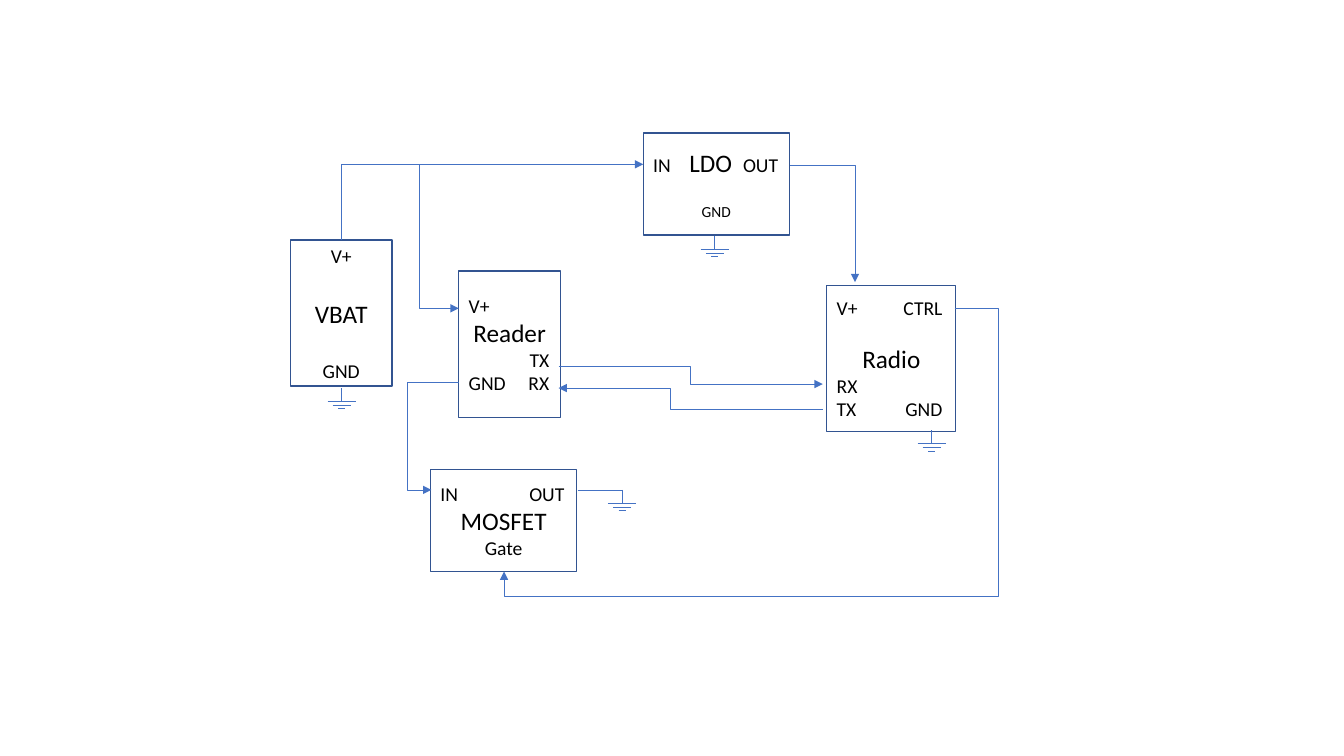
import pptx
import pptx.dml.color
import pptx.enum.shapes
import pptx.enum.text
import pptx.oxml.ns
import pptx.util
import lxml.etree

CELL = pptx.util.Inches(0.1)  # the slide is a grid of 133.33 by 75 cells
COLORS = {"box": "FFFFFF", "outline": "325491", "wire": "4472C4", "text": "000000"}
COLORS = {name: pptx.dml.color.RGBColor.from_string(value) for name, value in COLORS.items()}
LINE_HEIGHT = 1.22
PIN, NAME, SMALL = 14, 18, 11
LEFT = pptx.enum.text.PP_ALIGN.LEFT
CENTER = pptx.enum.text.PP_ALIGN.CENTER
qn = pptx.oxml.ns.qn

presentation = pptx.Presentation()
presentation.slide_width = pptx.util.Inches(13.33)
presentation.slide_height = pptx.util.Inches(7.5)
slide = presentation.slides.add_slide(presentation.slide_layouts[6])


def add_wire(route, arrow=None):
    """Join the first and last point; the points between are right-angle bends,
    the first leg being horizontal. arrow is headEnd (first) or tailEnd (last)."""
    (x1, y1), (x2, y2) = route[0], route[-1]
    ends = [round(value * CELL) for value in (x1, y1, x2, y2)]
    kind = pptx.enum.shapes.MSO_CONNECTOR.STRAIGHT
    if len(route) > 2:
        kind = pptx.enum.shapes.MSO_CONNECTOR.ELBOW
    connector = slide.shapes.add_connector(kind, *ends)
    connector.line.color.rgb = COLORS["wire"]
    connector.line.width = pptx.util.Pt(0.5)
    properties = connector._element.spPr
    if len(route) > 2:
        geometry = properties.find(qn("a:prstGeom"))
        geometry.set("prst", f"bentConnector{len(route) - 1}")
        shares = []
        if len(route) > 3:
            shares.append((route[1][0] - x1) / (x2 - x1))
        if len(route) > 4:
            shares.append((route[2][1] - y1) / (y2 - y1))
        adjustments = geometry.find(qn("a:avLst"))
        for number, share in enumerate(shares, 1):
            lxml.etree.SubElement(adjustments, qn("a:gd"), name=f"adj{number}",
                                  fmla=f"val {round(share * 100000)}")
    if arrow:
        lxml.etree.SubElement(properties.find(qn("a:ln")), qn(f"a:{arrow}"), type="triangle")
    lxml.etree.SubElement(properties, qn("a:effectLst"))


# Each block: left, top, width, height, tab stops, text lines.
# Each line: blank size above it, alignment, runs of (text, size).
blocks = [
    (28.8, 23.8, 10.1, 14.5, [], [
        (0, CENTER, [("V+", PIN)]),
        (NAME, CENTER, [("VBAT", NAME)]),
        (NAME, CENTER, [("GND", PIN)])]),
    (82, 28.3, 12.8, 14.5, [("r", 10.5)], [
        (0, LEFT, [("V+\tCTRL", PIN)]),
        (PIN, CENTER, [("Radio", NAME)]),
        (0, LEFT, [("RX", PIN)]),
        (0, LEFT, [("TX\tGND", PIN)])]),
    (45.5, 26.9, 10.1, 14.5, [("r", 8)], [
        (0, LEFT, [("V+", PIN)]),
        (0, CENTER, [("Reader", NAME)]),
        (0, LEFT, [("\tTX", PIN)]),
        (0, LEFT, [("GND\tRX", PIN)])]),
    (63.8, 13.2, 14.5, 10.1, [("ctr", 5.7), ("r", 12.4)], [
        (0, LEFT, [("IN\t", PIN), ("LDO", NAME), ("\tOUT", PIN)]),
        (PIN, CENTER, [("GND", SMALL)])]),
    (42.7, 46.6, 14.5, 10.1, [("r", 12.3)], [
        (0, LEFT, [("IN\tOUT", PIN)]),
        (0, CENTER, [("MOSFET", NAME)]),
        (0, CENTER, [("Gate", PIN)])]),
]
for left, top, width, height, tab_stops, lines in blocks:
    place = [round(value * CELL) for value in (left, top, width, height)]
    box = slide.shapes.add_shape(pptx.enum.shapes.MSO_SHAPE.RECTANGLE, *place)
    box.shadow.inherit = False
    box.fill.solid()
    box.fill.fore_color.rgb = COLORS["box"]
    box.line.color.rgb = COLORS["outline"]
    box.line.width = pptx.util.Pt(1)
    frame = box.text_frame
    frame.word_wrap = True
    frame.vertical_anchor = pptx.enum.text.MSO_ANCHOR.MIDDLE
    for index, (blank, alignment, runs) in enumerate(lines):
        paragraph = frame.add_paragraph() if index else frame.paragraphs[0]
        paragraph.alignment = alignment
        paragraph.space_before = pptx.util.Pt(round(blank * LINE_HEIGHT))
        if tab_stops and alignment == LEFT:
            tab_list = lxml.etree.SubElement(paragraph._p.get_or_add_pPr(), qn("a:tabLst"))
            for side, position in tab_stops:
                lxml.etree.SubElement(tab_list, qn("a:tab"),
                                      pos=str(round(position * CELL)), algn=side)
        for text, size in runs:
            run = paragraph.add_run()
            run.text = text
            run.font.name = "Calibri"
            run.font.size = pptx.util.Pt(size)
            run.font.color.rgb = COLORS["text"]

wires = [
    ([(63.8, 16.3), (33.9, 16.3), (33.9, 23.8)], "headEnd"),  # VBAT to LDO
    ([(45.5, 30.6), (41.6, 30.6), (41.6, 16.3)], "headEnd"),  # VBAT to Reader
    ([(55.4, 36.3), (68.5, 36.3), (68.5, 38.1), (81.6, 38.1)], "tailEnd"),  # TX to RX
    ([(81.6, 40.6), (66.5, 40.6), (66.5, 38.5), (55.4, 38.5)], "tailEnd"),  # RX from TX
    ([(78.4, 16.4), (84.8, 16.4), (84.8, 28)], "tailEnd"),  # LDO to Radio
    ([(45.5, 37.9), (40.4, 37.9), (40.4, 48.6), (42.8, 48.6)], "tailEnd"),  # Reader to MOSFET
    ([(57.3, 48.6), (61.7, 48.6)], None),  # MOSFET to ground
    ([(94.7, 30.6), (99, 30.6), (99, 59.2), (50, 59.2), (50, 56.7)], "tailEnd"),  # CTRL to Gate
]
for route, arrow in wires:
    add_wire(route, arrow)

ground_bars = [(1.3, 2.8), (1.7, 1.8), (2.05, 0.7)]  # depth below the pin, width
for x, y in [(70.9, 23.4), (92.4, 42.7), (33.9, 38.5), (61.7, 48.6)]:
    add_wire([(x, y), (x, y + ground_bars[0][0])])
    for depth, width in ground_bars:
        add_wire([(x - width / 2, y + depth), (x + width / 2, y + depth)])

presentation.save("out.pptx")
